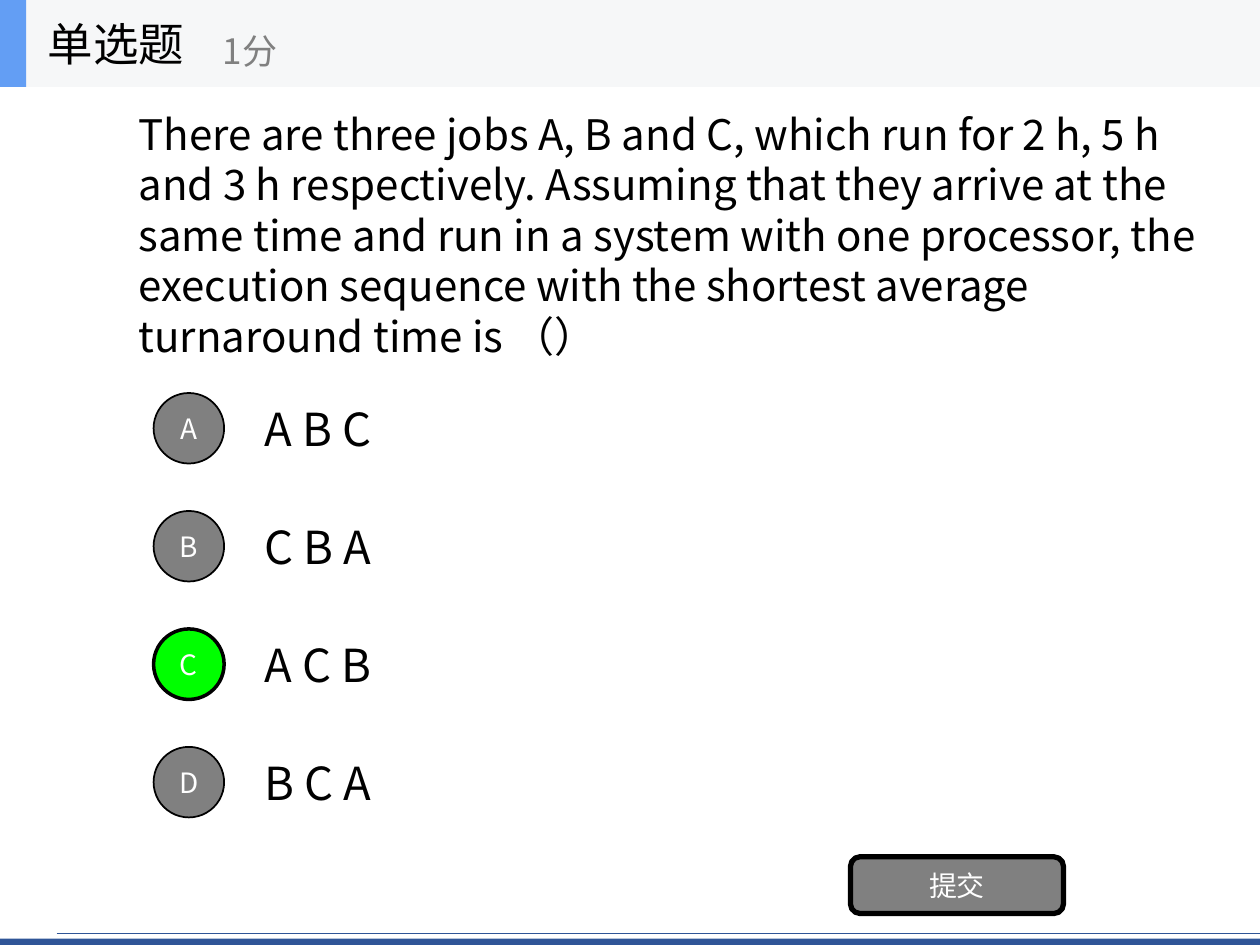
import pptx
import pptx.util
import pptx.dml.color
import pptx.enum.shapes
import pptx.enum.text
import pptx.oxml
import pptx.oxml.ns
from lxml import etree

Pt = pptx.util.Pt
SHAPE = pptx.enum.shapes.MSO_SHAPE
ALIGN = pptx.enum.text.PP_ALIGN
FONT = "Noto Sans CJK SC"
COLORS = {
    "ink": "000000",
    "paper": "FFFFFF",
    "gray": "808080",
    "correct": "00FF00",
    "rule": "2F5597",
    "header": "F6F7F8",
    "accent": "639EF4",
}


def rgb(name):
    return pptx.dml.color.RGBColor.from_string(COLORS[name])


def write(tf, text, size=16, color="ink", align=ALIGN.LEFT, spacing=None):
    tf.word_wrap = True
    tf.auto_size = pptx.enum.text.MSO_AUTO_SIZE.NONE
    tf.vertical_anchor = pptx.enum.text.MSO_ANCHOR.MIDDLE
    p = tf.paragraphs[0]
    p.alignment = align
    p.space_before = Pt(0)
    if spacing:
        p.line_spacing = Pt(spacing)
    r = p.add_run()
    r.text = text
    r.font.size = Pt(size)
    r.font.color.rgb = rgb(color)
    r.font.name = FONT
    ea = etree.SubElement(r.font._element, pptx.oxml.ns.qn("a:ea"))
    ea.set("typeface", FONT)
    return p


class QuizSlide:
    def __init__(self, prs):
        self.s = prs.slides.add_slide(prs.slide_layouts[1])

    def shape(self, kind, box, fill, line=None, text=None):
        sp = self.s.shapes.add_shape(kind, *map(Pt, box))
        sp.shadow.inherit = False
        sp.fill.solid()
        sp.fill.fore_color.rgb = rgb(fill)
        if line:
            sp.line.color.rgb = rgb("ink")
            sp.line.width = Pt(line)
        else:
            sp.line.fill.background()
        if text:
            tf = sp.text_frame
            tf.margin_left = tf.margin_right = 0
            write(tf, text, color="paper", align=ALIGN.CENTER)
        return sp

    def text(self, box, text, **fmt):
        sp = self.s.shapes.add_textbox(*map(Pt, box))
        write(sp.text_frame, text, **fmt)

    def rule(self, x1, x2, y):
        line = self.s.shapes.add_connector(
            pptx.enum.shapes.MSO_CONNECTOR.STRAIGHT, Pt(x1), Pt(y), Pt(x2), Pt(y))
        line.line.color.rgb = rgb("rule")
        line.line.width = Pt(0.5)
        etree.SubElement(line._element.spPr, pptx.oxml.ns.qn("a:effectLst"))

    def placeholder(self, idx, box, text, **fmt):
        sp = self.s.placeholders[idx]
        sp.left, sp.top, sp.width, sp.height = map(Pt, box)
        p = write(sp.text_frame, text, **fmt)
        pPr = p._p.get_or_add_pPr()
        pPr.set("marL", "0")
        pPr.set("indent", "0")
        etree.SubElement(pPr, pptx.oxml.ns.qn("a:buNone"))
        self.s.shapes._spTree.append(sp._element)


def main():
    prs = pptx.Presentation()
    prs.slide_width, prs.slide_height = Pt(720), Pt(540)
    quiz = QuizSlide(prs)

    quiz.shape(SHAPE.RECTANGLE, (0, 536.4, 720, 3.6), "rule")
    quiz.rule(32.4, 720, 533.5)

    quiz.shape(SHAPE.RECTANGLE, (0, 0, 720, 49.7), "header")
    quiz.shape(SHAPE.RECTANGLE, (0, 0, 15, 49.7), "accent")
    quiz.placeholder(0, (20.2, 0, 149.8, 49.7), "单选题", size=26)
    quiz.text((120.2, 8.6, 180, 40.3), "1分", size=20, color="gray")

    quiz.placeholder(
        1, (72, 49.7, 627.8, 168.5),
        "There are three jobs A, B and C, which run for 2 h, 5 h and 3 h "
        "respectively. Assuming that they arrive at the same time and run in a "
        "system with one processor, the execution sequence with the shortest "
        "average turnaround time is （）", size=24, spacing=28.8)

    answers = ["A B C", "C B A", "A C B", "B C A"]
    for i, (letter, answer) in enumerate(zip("ABCD", answers)):
        top = 219.6 + 67.4 * i
        fill, line = ("correct", 2) if letter == "C" else ("gray", 1)
        quiz.text((144, top, 504, 50.4), answer, size=26)
        quiz.shape(SHAPE.OVAL, (87.8, top + 5, 40.3, 40.3), fill, line, letter)

    quiz.shape(SHAPE.ROUNDED_RECTANGLE, (486, 489.6, 121.7, 32.4), "gray", 3, "提交")
    prs.save("out.pptx")


if __name__ == "__main__":
    main()
